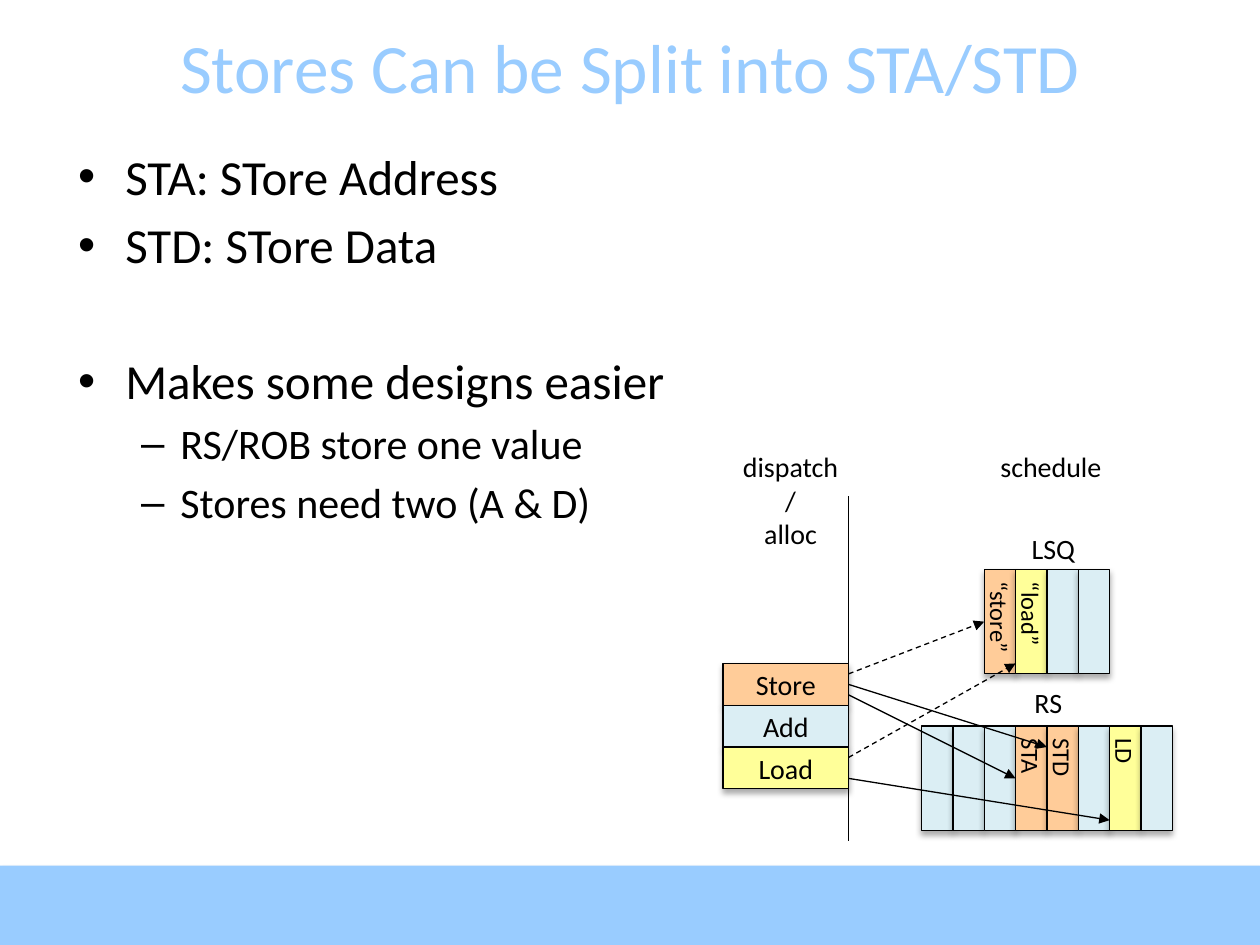
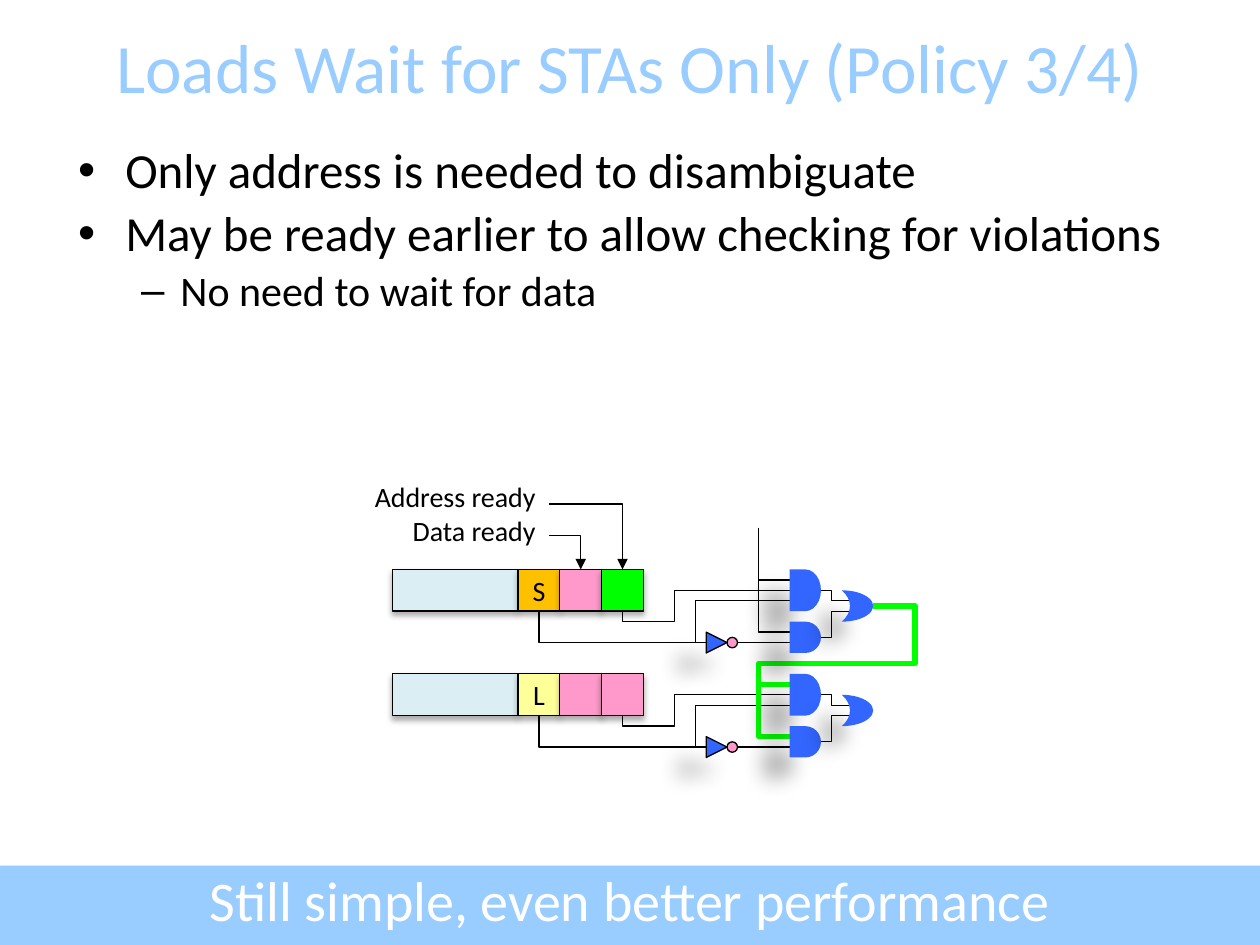
from lxml import etree
from pptx import Presentation
from pptx import util as u
from pptx.dml.color import RGBColor
from pptx.enum import dml, shapes, text
from pptx.oxml.ns import qn

SKY = RGBColor(0x99, 0xCC, 0xFF)
BLACK = RGBColor(0, 0, 0)
WHITE = RGBColor(0xFF, 0xFF, 0xFF)
PALE = RGBColor(0xDB, 0xEE, 0xF4)
PEACH = RGBColor(0xFF, 0xCC, 0x99)
YELLOW = RGBColor(0xFF, 0xFF, 0x99)
AMBER = RGBColor(0xFF, 0xC0, 0x00)
PINK = RGBColor(0xFF, 0x99, 0xCC)
GREEN = RGBColor(0x00, 0xFF, 0x00)
BLUE = RGBColor(0x33, 0x66, 0xFF)

FONT = "Calibri"
UNIT = 5.97
GRID_TOP = 325.4
BAND_SHADOW = (35, 3.1, 1.8, 90)
CELL_SHADOW = (32, 3.5, 2.2, 90)
GATE_SHADOW = (28, 11.8, 19.7, 141)
CENTER = text.PP_ALIGN.CENTER
RIGHT = text.PP_ALIGN.RIGHT
KIND = shapes.MSO_SHAPE


def apply(target, values):
    for name, value in values.items():
        setattr(target, name, value)


class Painter:
    def __init__(self):
        self.deck = Presentation()
        apply(self.deck, {"slide_width": u.Pt(720), "slide_height": u.Pt(540)})
        self.page = None
        self.grid_left = 0

    def start_page(self, title, items, grid_left, line_spacing=None):
        first = self.page is None
        self.page = self.deck.slides.add_slide(self.deck.slide_layouts[1])
        self.grid_left = grid_left
        if first:
            self.add_master_band()
        heading = self.page.shapes.title
        self.place(heading, 0, 15, 720, 45.4)
        self.fill_text(heading.text_frame, [title], 39.6, SKY,
                       vertical_anchor=text.MSO_ANCHOR.MIDDLE)
        body = self.page.placeholders[1]
        self.place(body, 37.4, 80, 648, 400)
        frame = body.text_frame
        self.fill_text(frame, [item[0] for item in items], 28, align=None)
        for para, (words, level, gap) in zip(frame.paragraphs, items):
            apply(para, {"level": level, "line_spacing": line_spacing})
            if gap is not None:
                para.space_before = u.Pt(gap)
            if level:
                para.runs[0].font.size = u.Pt(24)

    def add_master_band(self):
        band = self.page.shapes.add_shape(KIND.RECTANGLE, 0, u.Pt(494.7), u.Pt(720), u.Pt(45.3))
        self.paint(band, SKY, None, BAND_SHADOW)
        self.deck.slide_master.shapes.element.append(band.element)

    def place(self, shape, left, top, width, height):
        apply(shape, {"left": u.Pt(left), "top": u.Pt(top),
                      "width": u.Pt(width), "height": u.Pt(height)})

    def spot(self, column, row):
        return u.Pt(self.grid_left + column * UNIT), u.Pt(GRID_TOP + row * UNIT)

    def fill_text(self, frame, lines, size, color=BLACK, align=CENTER, **settings):
        apply(frame, {"auto_size": text.MSO_AUTO_SIZE.NONE, **settings})
        for index, words in enumerate(lines):
            para = frame.add_paragraph() if index else frame.paragraphs[0]
            if index == 0:
                para.space_before = u.Pt(0)
            para.alignment = align
            span = para.add_run()
            span.text = words
            apply(span.font, {"name": FONT, "size": u.Pt(size)})
            span.font.color.rgb = color

    def paint(self, shape, fill, line, shadow):
        shape.fill.solid()
        shape.fill.fore_color.rgb = fill
        if line is None:
            shape.line.fill.background()
        else:
            self.stroke(shape, line)
        shape.shadow.inherit = False
        alpha, blur, distance, angle = shadow
        effects = shape.element.spPr.find(qn("a:effectLst"))
        outer = etree.SubElement(effects, qn("a:outerShdw"), {
            "blurRad": str(u.Pt(blur)), "dist": str(u.Pt(distance)),
            "dir": str(angle * 60000), "algn": "ctr", "rotWithShape": "0"})
        tint = etree.SubElement(outer, qn("a:srgbClr"), val="000000")
        etree.SubElement(tint, qn("a:alpha"), val=str(alpha * 1000))

    def stroke(self, shape, color=BLACK, width=0.75, dashed=False, arrow=False):
        shape.line.color.rgb = color
        shape.line.width = u.Pt(width)
        if dashed:
            shape.line.dash_style = dml.MSO_LINE.DASH
        if arrow:
            etree.SubElement(shape.get_or_add_ln(), qn("a:tailEnd"), type="triangle")

    def block(self, kind, column, row, width, height, fill, line=BLACK, shadow=CELL_SHADOW):
        shape = self.page.shapes.add_shape(
            kind, *self.spot(column, row), u.Pt(width * UNIT), u.Pt(height * UNIT))
        self.paint(shape, fill, line, shadow)
        return shape

    def cell(self, column, row, width, height, fill, words="", vertical=False):
        box = self.block(KIND.RECTANGLE, column, row, width, height, fill)
        if words:
            self.fill_text(box.text_frame, [words], 14 if vertical else 16, word_wrap=False,
                           vertical_anchor=text.MSO_ANCHOR.MIDDLE)
        if vertical:
            box.element.txBody.bodyPr.set("vert", "eaVert")

    def link(self, start, end, kind=shapes.MSO_CONNECTOR.STRAIGHT, **style):
        line = self.page.shapes.add_connector(kind, *self.spot(*start), *self.spot(*end))
        self.stroke(line, **style)
        etree.SubElement(line.element.spPr, qn("a:effectLst"))

    def wire(self, points, **style):
        spots = [self.spot(*point) for point in points]
        builder = self.page.shapes.build_freeform(*spots[0])
        builder.add_line_segments(spots[1:], close=False)
        shape = builder.convert_to_shape()
        shape.fill.background()
        shape.shadow.inherit = False
        self.stroke(shape, **style)

    def label(self, lines, left, top, width, height, size=16, color=BLACK, align=CENTER, wrap=False):
        box = self.page.shapes.add_textbox(u.Pt(left), u.Pt(top), u.Pt(width), u.Pt(height))
        self.fill_text(box.text_frame, lines, size, color, align, word_wrap=wrap)

    def gate(self, kind, column, row, width, height):
        return self.block(kind, column, row, width, height, BLUE, None, GATE_SHADOW)


def draw_split_stores(painter):
    painter.start_page("Stores Can be Split into STA/STD", [
        ("STA: STore Address", 0, None),
        ("STD: STore Data", 0, None),
        ("Makes some designs easier", 0, 44),
        ("RS/ROB store one value", 1, None),
        ("Stores need two (A & D)", 1, None),
    ], 413.2)
    painter.link((12, -7), (12, 26))
    instructions = [("Store", PEACH), ("Add", PALE), ("Load", YELLOW)]
    for index, (words, fill) in enumerate(instructions):
        painter.cell(0, 9 + 4 * index, 12, 4, fill, words)

    empty = ("", PALE)
    load_store_queue = [("“store”", PEACH), ("“load”", YELLOW), empty, empty]
    reservation_station = [empty, empty, empty, ("STA", PEACH), ("STD", PEACH),
                           empty, ("LD", YELLOW), empty]
    for column, row, queue in [(25, 0, load_store_queue), (19, 15, reservation_station)]:
        for index, (words, fill) in enumerate(queue):
            painter.cell(column + 3 * index, row, 3, 10, fill, words, vertical=bool(words))

    painter.label(["dispatch/", "alloc"], 415.4, 253.4, 72.7, 46, wrap=True)
    painter.label(["schedule"], 564.5, 253.4, 72, 26.6)
    painter.label(["LSQ"], 580.3, 300.2, 43.2, 26.6)
    painter.label(["RS"], 583.2, 388.1, 31.7, 26.6)
    for start, end, dashed in [
        ((12, 10), (25, 5), True),
        ((12, 12), (28, 20), False),
        ((12, 11), (31, 17), False),
        ((12, 20), (37, 24), False),
        ((12, 18), (28, 9), True),
    ]:
        painter.link(start, end, dashed=dashed, arrow=True)


def draw_entry(painter, row, letter, letter_fill, address_fill):
    painter.cell(0, row, 12, 4, PALE)
    entry_cells = [(letter, letter_fill), ("", PINK), ("", address_fill)]
    for index, (words, fill) in enumerate(entry_cells):
        painter.cell(12 + 4 * index, row, 4, 4, fill, words)
    for points in [
        [(14, 4), (14, 7), (30, 7)],
        [(29, 7), (29, 3), (38, 3)],
        [(41, 2), (42, 2), (42, 3), (44, 3)],
        [(35, 1), (35, 6), (38, 6)],
        [(22, 4), (22, 5), (27, 5), (27, 2), (38, 2)],
    ]:
        painter.wire([(x, row + y) for x, y in points])
    inverter = painter.block(KIND.ISOSCELES_TRIANGLE, 30, row + 6, 2, 2, BLUE, BLACK, GATE_SHADOW)
    inverter.rotation = 90
    painter.block(KIND.OVAL, 32, row + 6.5, 1, 1, PINK, BLACK, GATE_SHADOW)
    painter.link((33, row + 7), (38, row + 7))
    painter.link((41, row + 6.5), (43, row + 4), shapes.MSO_CONNECTOR.ELBOW)
    painter.link((43, row + 4), (44, row + 4))


def draw_gates(painter, row):
    painter.gate(KIND.FLOWCHART_DELAY, 38, row, 3, 4)
    painter.gate(KIND.FLOWCHART_DELAY, 38, row + 5, 3, 3)
    or_gate = painter.gate(KIND.MOON, 43, row + 2, 3, 3)
    or_gate.adjustments[0] = 0.74
    or_gate.element.spPr.xfrm.set("flipH", "1")


def draw_waiting_loads(painter):
    painter.start_page("Loads Wait for STAs Only (Policy 3/4)", [
        ("Only address is needed to disambiguate", 0, None),
        ("May be ready earlier to allow checking for violations", 0, None),
        ("No need to wait for data", 1, None),
    ], 224.4, 0.9)
    draw_entry(painter, 0, "S", AMBER, GREEN)
    draw_entry(painter, 10, "L", YELLOW, PINK)

    painter.label(["Address ready", "Data ready"], 205.2, 270.7, 108, 46, align=RIGHT)
    for column, row in [(22, -6.25), (18, -3.25)]:
        painter.wire([(15, row), (column, row), (column, 0)], arrow=True)
    painter.wire([(35, -4), (35, 1), (38, 1)])

    for points in [
        [(35, 11), (35, 16), (38, 16)],
        [(46, 3.5), (50, 3.5), (50, 7)],
        [(50, 7), (50, 9), (35, 9), (35, 11), (38, 11)],
    ]:
        painter.wire(points, color=GREEN, width=3)
    for row in (0, 10):
        draw_gates(painter, row)
    painter.label(["Still simple, even better performance"], 0, 491, 720, 45.4,
                  size=32, color=WHITE, wrap=True)


def main():
    painter = Painter()
    draw_split_stores(painter)
    draw_waiting_loads(painter)
    painter.deck.save("out.pptx")


if __name__ == "__main__":
    main()
